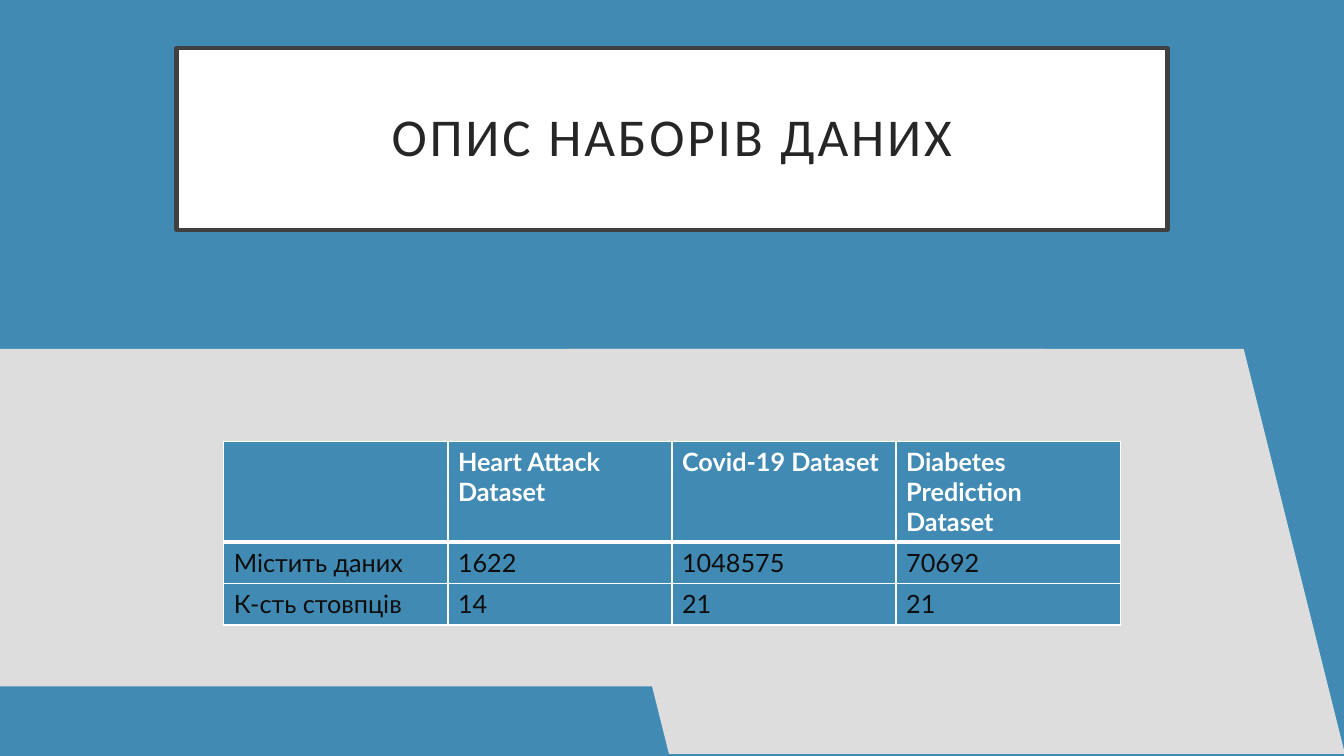
from lxml import etree
from pptx import Presentation
from pptx import util as u
from pptx.dml.color import RGBColor
from pptx.enum import shapes, text
from pptx.oxml import ns

THEME = dict(
    blue="418AB3", grey="DDDDDD", white="FFFFFF", frame="404040",
    title="262626", ink="0D0D0D", head_font="Calibri", body_font="Lato",
    head_size=38, body_size=18,
)


def paint(fill, name):
    fill.solid()
    fill.fore_color.rgb = RGBColor.from_string(THEME[name])


def style(run, color, **look):
    for key, val in look.items():
        setattr(run.font, key, val)
    run.font.color.rgb = RGBColor.from_string(THEME[color])


deck = Presentation()
deck.slide_width, deck.slide_height = u.Inches(13.33), u.Inches(7.5)
slide = deck.slides.add_slide(deck.slide_layouts[6])
paint(slide.background.fill, "blue")

# Grey backdrop and title box
kinds = shapes.MSO_SHAPE
panels = [
    (kinds.PARALLELOGRAM, (5.63, 3.46, 7.71, 4.02), "grey"),
    (kinds.RECTANGLE, (0, 3.46, 10.37, 3.35), "grey"),
    (kinds.RECTANGLE, (1.75, 0.48, 9.83, 1.8), "white"),
]
drawn = []
for kind, spot, color in panels:
    panel = slide.shapes.add_shape(kind, *map(u.Inches, spot))
    panel.shadow.inherit = False
    paint(panel.fill, color)
    panel.line.fill.background()
    drawn.append(panel)
slant, band, box = drawn
slant.element.spPr.xfrm.set("flipH", "1")

# Title
paint(box.line.fill, "frame")
box.line.width = u.Pt(3)
frame = box.text_frame
layout = dict(
    margin_left=u.Inches(0.3), margin_right=u.Inches(0.3),
    margin_top=u.Inches(0.2), margin_bottom=u.Inches(0.2),
    vertical_anchor=text.MSO_ANCHOR.MIDDLE, word_wrap=True,
)
for key, val in layout.items():
    setattr(frame, key, val)
para = frame.paragraphs[0]
para.alignment = text.PP_ALIGN.CENTER
para.line_spacing = 0.9
run = para.add_run()
run.text = "ОПИС НАБОРІВ ДАНИХ"
style(run, "title", name=THEME["head_font"], size=u.Pt(THEME["head_size"]))
run.font._element.set("spc", "200")

# Table of datasets
rows = [
    ["", "Heart Attack Dataset", "Covid-19 Dataset", "Diabetes Prediction Dataset"],
    ["Містить даних", "1622", "1048575", "70692"],
    ["К-сть стовпців", "14", "21", "21"],
]
heights = [1, 0.41, 0.41]
table = slide.shapes.add_table(
    len(rows), len(rows[0]), u.Inches(2.22), u.Inches(4.38),
    u.Inches(8.89), u.Inches(sum(heights))).table

for r, row in enumerate(rows):
    table.rows[r].height = u.Inches(heights[r])
    for c, words in enumerate(row):
        cell = table.cell(r, c)
        # White borders, heavier around the header's lower edge
        props = cell._tc.get_or_add_tcPr()
        for side in "LRTB":
            thick = (r, side) in [(0, "B"), (1, "T")]
            line = etree.SubElement(props, ns.qn(f"a:ln{side}"),
                                    w=str(u.Pt(3 if thick else 1)))
            solid = etree.SubElement(line, ns.qn("a:solidFill"))
            etree.SubElement(solid, ns.qn("a:srgbClr"), val=THEME["white"])
        paint(cell.fill, "blue")
        if words:
            run = cell.text_frame.paragraphs[0].add_run()
            run.text = words
            style(run, "ink" if r else "white", name=THEME["body_font"],
                  size=u.Pt(THEME["body_size"]), bold=r == 0)

deck.save("out.pptx")
